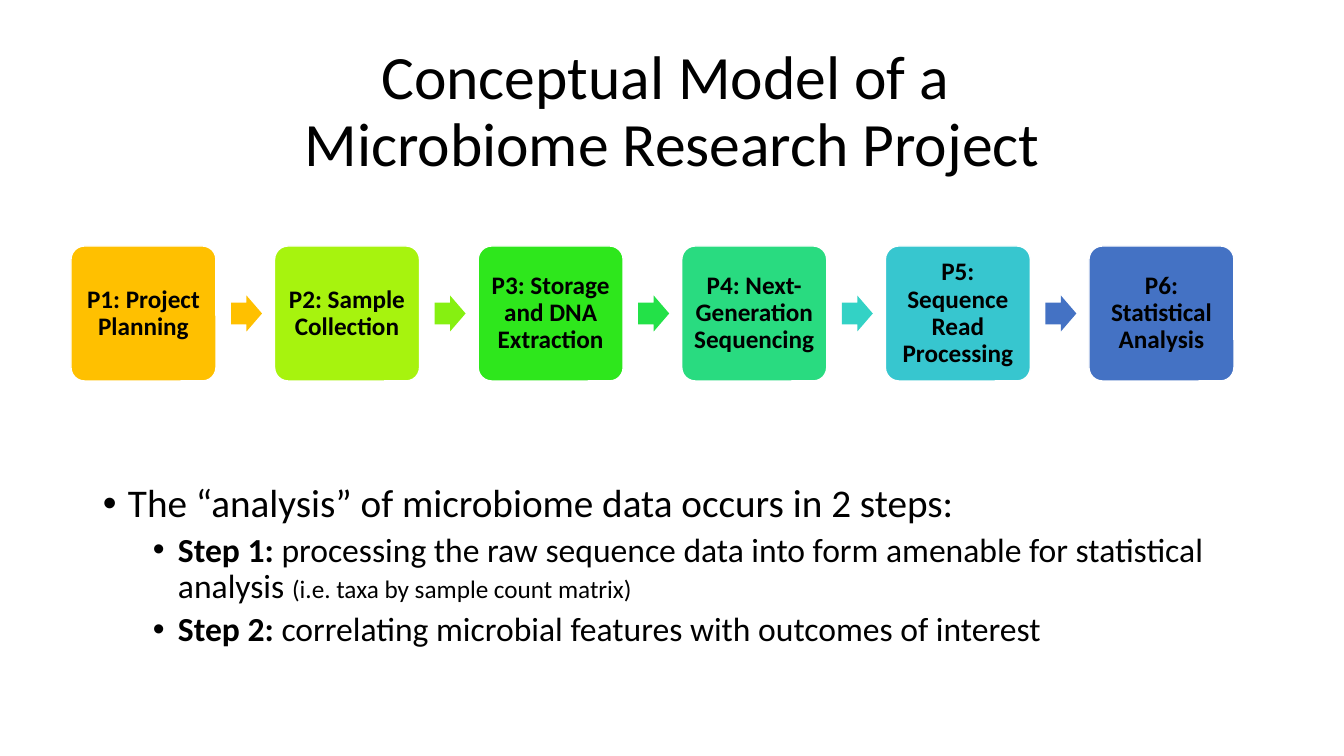
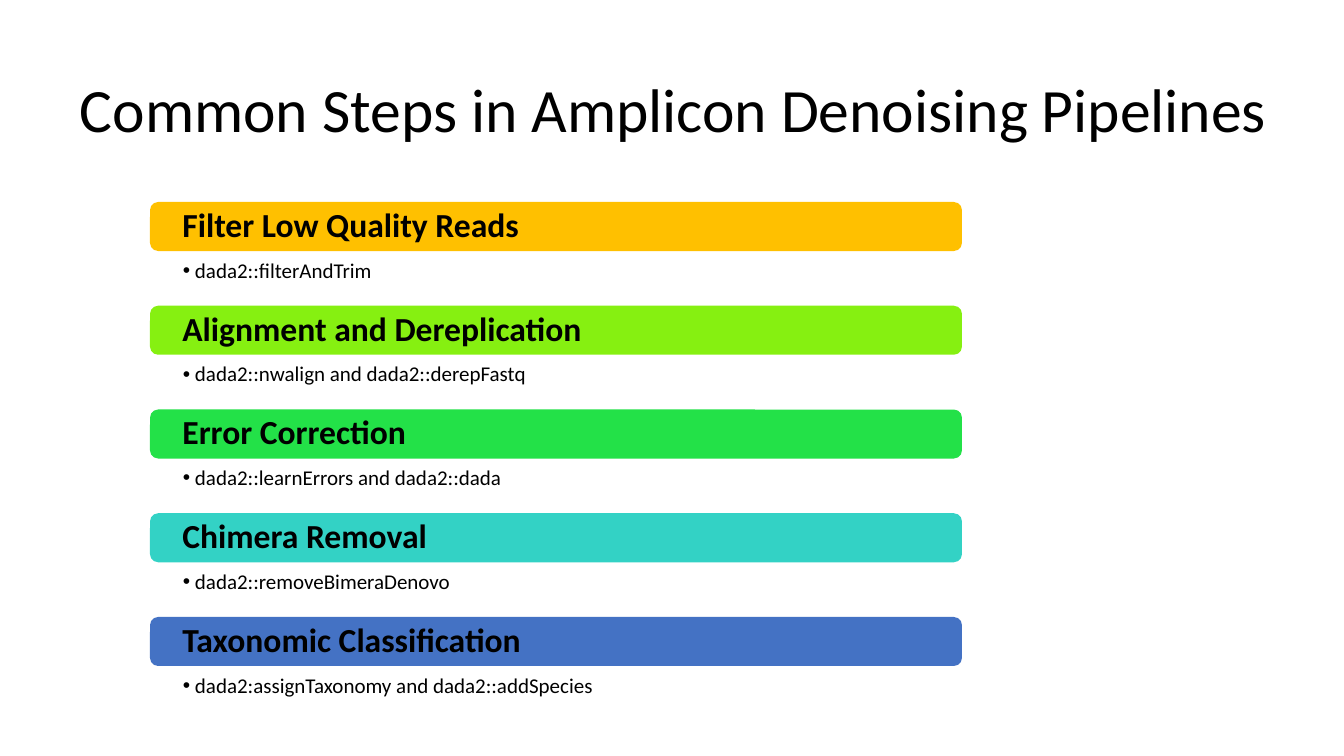
from pptx import Presentation
from pptx.dml.color import RGBColor
from pptx.enum.shapes import MSO_SHAPE
from pptx.enum.text import MSO_ANCHOR, PP_ALIGN
from pptx.oxml.ns import qn
from pptx.util import Pt
from lxml.etree import SubElement

FONT = "Calibri"
BLACK = RGBColor(0x00, 0x00, 0x00)
WHITE = RGBColor(0xFF, 0xFF, 0xFF)
AMBER = RGBColor(0xFF, 0xC0, 0x00)
LIME = RGBColor(0xA7, 0xF3, 0x0E)
GRASS = RGBColor(0x86, 0xF0, 0x11)
GREEN = RGBColor(0x2E, 0xE7, 0x1C)
LEAF = RGBColor(0x23, 0xE1, 0x48)
MINT = RGBColor(0x29, 0xDB, 0x80)
TEAL = RGBColor(0x33, 0xD2, 0xC5)
CYAN = RGBColor(0x37, 0xC6, 0xCF)
BLUE = RGBColor(0x44, 0x72, 0xC4)
# Shades shared by the arrows and the bars
RAMP = [AMBER, GRASS, LEAF, TEAL, BLUE]


def px(n):
    return round(n * 914400 / 100.8)


def setup(frame, insets=(10, 5, 10, 5), anchor=MSO_ANCHOR.MIDDLE):
    frame.word_wrap = True
    frame.vertical_anchor = anchor
    (frame.margin_left, frame.margin_top,
     frame.margin_right, frame.margin_bottom) = map(px, insets)


def write(para, text, size=18, bold=False, align=PP_ALIGN.LEFT,
          level=0, before=0, left=0, hang=0):
    """Fill a paragraph; text is a string or a list of (text, size, bold)."""
    para.alignment, para.level = align, level
    para.line_spacing, para.space_before = 0.9, Pt(before)
    if hang:
        props = para._p.get_or_add_pPr()
        props.set("marL", str(px(left)))
        props.set("indent", str(-px(hang)))
        SubElement(props, qn("a:buFont"), typeface="Arial")
        SubElement(props, qn("a:buChar"), char="•")
    parts = [(text, size, bold)] if isinstance(text, str) else text
    for words, points, heavy in parts:
        for i, line in enumerate(words.split("\n")):
            if i:
                para.add_line_break()
            run = para.add_run()
            run.text = line
            font = run.font
            font.name, font.size, font.bold = FONT, Pt(points), heavy
            font.color.rgb = BLACK


def shape(slide, kind, box, fill, edge=None, adjust=()):
    item = slide.shapes.add_shape(kind, *map(px, box))
    item.shadow.inherit = False
    item.fill.solid()
    item.fill.fore_color.rgb = fill
    if edge is None:
        item.line.fill.background()
    else:
        item.line.color.rgb = edge
        item.line.width = Pt(1)
    for i, value in enumerate(adjust):
        item.adjustments[i] = value
    return item


def title(slide, text, box):
    frame = slide.shapes.add_textbox(*map(px, box)).text_frame
    setup(frame)
    write(frame.paragraphs[0], text, size=44, align=PP_ALIGN.CENTER)


def flow(slide, steps, box):
    """Row of boxes joined by arrows."""
    x, y, w, h = box
    wide, arrow_w, arrow_h = 145, 31, 36
    pitch = (w - wide) / (len(steps) - 1)
    for i, (text, fill) in enumerate(steps):
        left = x + i * pitch
        card = shape(slide, MSO_SHAPE.ROUNDED_RECTANGLE, (left, y, wide, h),
                     fill, edge=WHITE, adjust=[0.1])
        setup(card.text_frame, (7, 7, 7, 7))
        write(card.text_frame.paragraphs[0], text, bold=True,
              align=PP_ALIGN.CENTER)
        if i < len(steps) - 1:
            shape(slide, MSO_SHAPE.RIGHT_ARROW,
                  (left + wide + 15, y + (h - arrow_h) / 2, arrow_w, arrow_h),
                  RAMP[i], adjust=[0.6, 0.5])


def body(slide, items, box):
    """Two-level bullet list."""
    frame = slide.shapes.add_textbox(*map(px, box)).text_frame
    setup(frame, anchor=MSO_ANCHOR.TOP)
    for i, (level, text) in enumerate(items):
        para = frame.add_paragraph() if i else frame.paragraphs[0]
        write(para, text, size=28, level=level, before=5 if level else 10,
              left=25 + 50 * level, hang=25)


def stages(slide, rows, box):
    """Stack of coloured bars, each above a panel with its functions."""
    x, y, w, h = box
    bar_h, panel_h, drop = 49, 71, 24
    pitch = (h - drop - panel_h) / (len(rows) - 1)
    for i, ((head, detail), fill) in enumerate(zip(rows, RAMP)):
        top = y + i * pitch
        panel = shape(slide, MSO_SHAPE.RECTANGLE,
                      (x, top + drop, w, panel_h), WHITE)
        setup(panel.text_frame, (90, 34, 90, 12), MSO_ANCHOR.TOP)
        write(panel.text_frame.paragraphs[0], detail, size=15, level=1,
              left=12, hang=12)
        bar = shape(slide, MSO_SHAPE.ROUNDED_RECTANGLE,
                    (x + 57, top, 812, bar_h), fill)
        setup(bar.text_frame, (30, 0, 30, 0))
        write(bar.text_frame.paragraphs[0], head, size=24, bold=True)


deck = Presentation()
deck.slide_width, deck.slide_height = px(1344), px(756)
blank = deck.slide_layouts[6]

# Slide 1: project model
model = deck.slides.add_slide(blank)
flow(model, [
    ("P1: Project Planning", AMBER),
    ("P2: Sample Collection", LIME),
    ("P3: Storage and DNA Extraction", GREEN),
    ("P4: Next-Generation Sequencing", MINT),
    ("P5: Sequence Read Processing", CYAN),
    ("P6: Statistical Analysis", BLUE),
], (71, 246, 1163, 135))
title(model, "Conceptual Model of a \nMicrobiome Research Project",
      (93, 40, 1159, 146))
body(model, [
    (0, "The “analysis” of microbiome data occurs in 2 steps:"),
    (1, [("Step 1:", 24, True),
         (" processing the raw sequence data into form amenable for "
          "statistical analysis ", 24, False),
         ("(i.e. taxa by sample count matrix)", 18, False)]),
    (1, [("Step 2:", 24, True),
         (" correlating microbial features with outcomes of interest",
          24, False)]),
], (93, 479, 1159, 230))

# Slide 2: pipeline steps
steps = deck.slides.add_slide(blank)
title(steps, "Common Steps in Amplicon Denoising Pipelines",
      (32, 40, 1284, 146))
stages(steps, [
    ("Filter Low Quality Reads", "dada2::filterAndTrim"),
    ("Alignment and Dereplication", "dada2::nwalign and dada2::derepFastq"),
    ("Error Correction", "dada2::learnErrors and dada2::dada"),
    ("Chimera Removal", "dada2::removeBimeraDenovo"),
    ("Taxonomic Classification",
     "dada2:assignTaxonomy and dada2::addSpecies"),
], (93, 202, 1159, 510))

deck.save("out.pptx")
